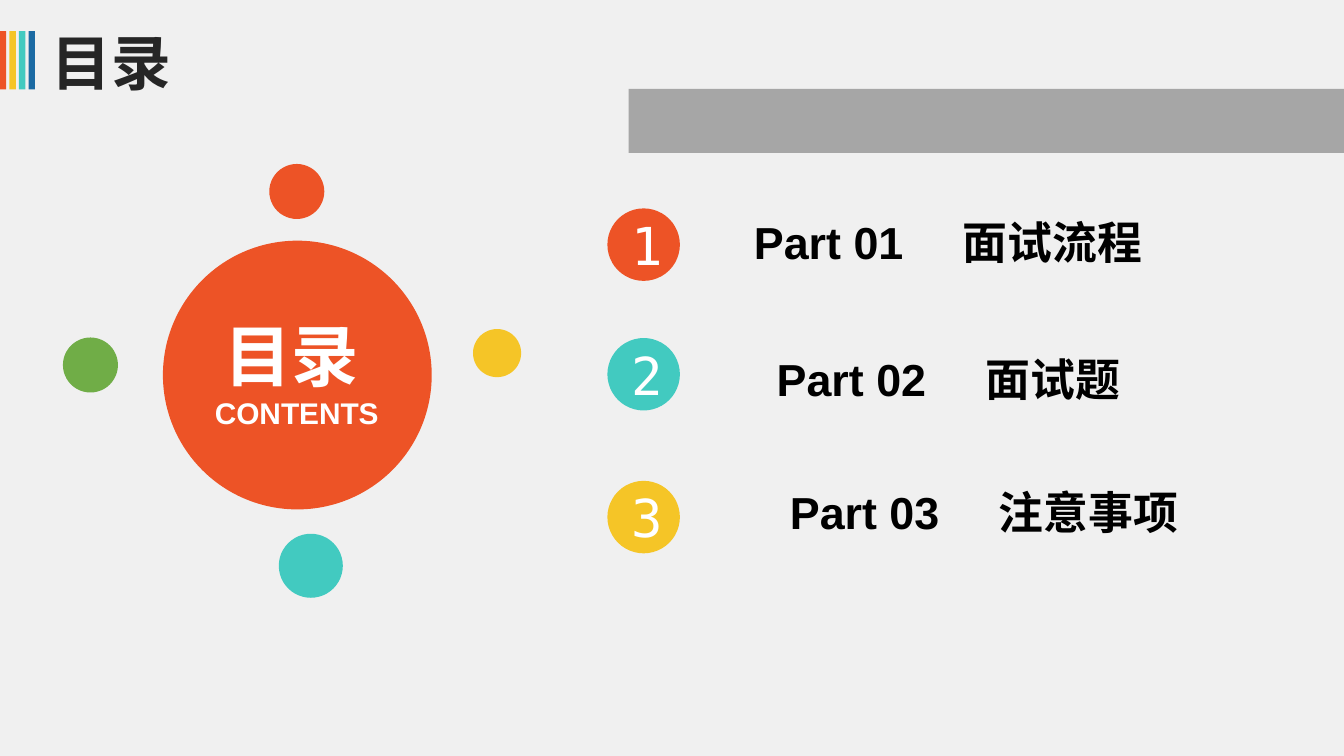
import dataclasses

import lxml.etree
import pptx
import pptx.dml.color
import pptx.enum.shapes
import pptx.enum.text
import pptx.oxml.ns
import pptx.util

Cm = pptx.util.Cm
Kind = pptx.enum.shapes.MSO_SHAPE
Align = pptx.enum.text.PP_ALIGN
Anchor = pptx.enum.text.MSO_ANCHOR

RED, GOLD, TEAL, BLUE, GREEN = "ED5326", "F5C527", "42CAC0", "1B6AA3", "70AD47"
WHITE, BLACK, DARK, GREY, PALE = "FFFFFF", "000000", "262626", "A6A6A6", "F0F0F0"


@dataclasses.dataclass
class Box:
    x: float
    y: float
    w: float
    h: float

    def place(self) -> tuple:
        return Cm(self.x), Cm(self.y), Cm(self.w), Cm(self.h)


@dataclasses.dataclass
class Part:
    label: str
    name: str
    box: Box
    inset: float
    top: float  # top of the number circle
    color: str


@dataclasses.dataclass
class Dot:
    x: float
    y: float
    size: float
    color: str


PARTS = [
    Part("Part 01", "面试流程", Box(13.59, 3.94, 8.74, 1.27), 0.66, 3.94, RED),
    Part("Part 02", "面试题", Box(14.02, 6.53, 7.9, 1.27), 0.66, 6.39, TEAL),
    Part("Part 03", "注意事项", Box(12.85, 9.04, 11.58, 1.27), 2.08, 9.09, GOLD),
]
DOTS = [
    Dot(5.09, 3.1, 1.04, RED),
    Dot(8.94, 6.22, 0.91, GOLD),
    Dot(1.19, 6.38, 1.04, GREEN),
    Dot(5.27, 10.09, 1.21, TEAL),
]


def rgb(color: str):
    return pptx.dml.color.RGBColor.from_string(color)


def shape(shapes, kind, box: Box, color: str):
    item = shapes.add_shape(kind, *box.place())
    item.shadow.inherit = False
    item.fill.solid()
    item.fill.fore_color.rgb = rgb(color)
    item.line.fill.background()
    return item


def write(para, text: str, size: float, color: str, bold=True, face="Arial"):
    run = para.add_run()
    run.text = text
    style = {"size": pptx.util.Pt(size), "bold": bold, "name": face}
    for key, value in style.items():
        setattr(run.font, key, value)
    run.font.color.rgb = rgb(color)


def textbox(shapes, box: Box):
    frame = shapes.add_textbox(*box.place()).text_frame
    frame.word_wrap = True
    return frame


def add_tab(para, pos: float):
    tabs = lxml.etree.SubElement(
        para._p.get_or_add_pPr(), pptx.oxml.ns.qn("a:tabLst"))
    tab = lxml.etree.SubElement(tabs, pptx.oxml.ns.qn("a:tab"))
    tab.set("pos", str(int(Cm(pos))))
    tab.set("algn", "l")


def draw_part(shapes, num: int, part: Part):
    frame = textbox(shapes, part.box)
    frame.margin_left = Cm(part.inset)
    para = frame.paragraphs[0]
    para.alignment = Align.LEFT
    add_tab(para, 3.95)
    write(para, f"{part.label}\t{part.name}", 24, BLACK)

    badge = shape(shapes, Kind.OVAL, Box(11.48, part.top, 1.37, 1.37), part.color)
    badge.text_frame.vertical_anchor = Anchor.MIDDLE
    para = badge.text_frame.paragraphs[0]
    para.alignment = Align.CENTER
    write(para, str(num), 28, WHITE, False, "DejaVu Sans Mono")


def draw_hub(shapes):
    group = shapes.add_group_shape().shapes
    shape(group, Kind.OVAL, Box(3.08, 4.55, 5.08, 5.08), RED)
    frame = textbox(group, Box(2.79, 5.82, 5.64, 2.49))
    first, second = frame.paragraphs[0], frame.add_paragraph()
    first.alignment = second.alignment = Align.CENTER
    write(first, "目录", 36, WHITE)
    write(first, " ", 24, WHITE, False)
    write(second, "CONTENTS", 16, WHITE)


def draw_title(title):
    title.left, title.top, title.width, title.height = Box(
        0.72, 0.53, 7.1, 1.27).place()
    frame = title.text_frame
    frame.auto_size = pptx.enum.text.MSO_AUTO_SIZE.NONE
    frame.vertical_anchor = Anchor.MIDDLE
    para = frame.paragraphs[0]
    para.alignment = Align.LEFT
    write(para, "目录", 32, DARK)


def main():
    deck = pptx.Presentation()
    deck.slide_width, deck.slide_height = Cm(25.4), Cm(14.29)
    slide = deck.slides.add_slide(deck.slide_layouts[5])
    slide.background.fill.solid()
    slide.background.fill.fore_color.rgb = rgb(PALE)
    shapes = slide.shapes

    # Title with its stripes
    draw_title(shapes.title)
    for i, color in enumerate([RED, GOLD, TEAL, BLUE]):
        shape(shapes, Kind.RECTANGLE, Box(0.18 * i, 0.59, 0.12, 1.1), color)

    # Grey bar and numbered parts
    shape(shapes, Kind.RECTANGLE, Box(11.88, 1.68, 13.52, 1.21), GREY)
    for num, part in enumerate(PARTS, 1):
        draw_part(shapes, num, part)

    # Contents hub and its dots
    draw_hub(shapes)
    for dot in DOTS:
        shape(shapes, Kind.OVAL, Box(dot.x, dot.y, dot.size, dot.size), dot.color)

    deck.save("out.pptx")


if __name__ == "__main__":
    main()
